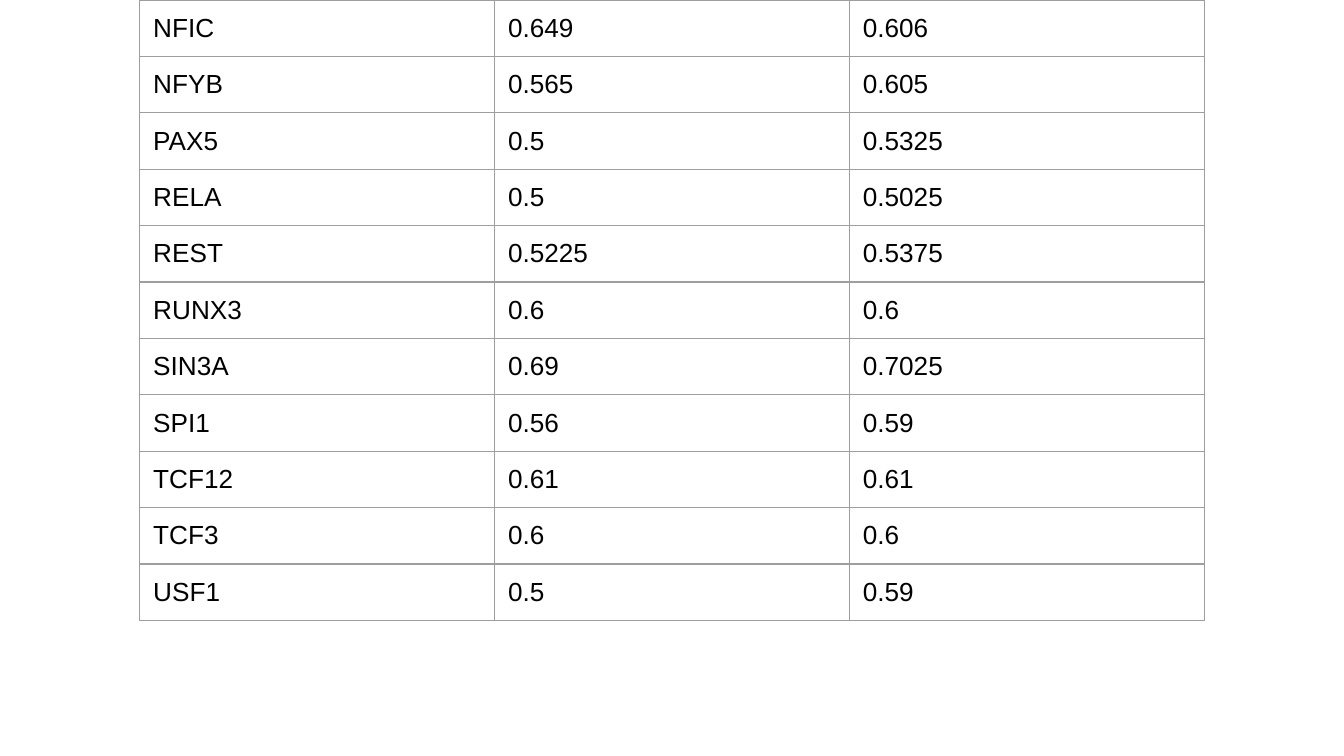
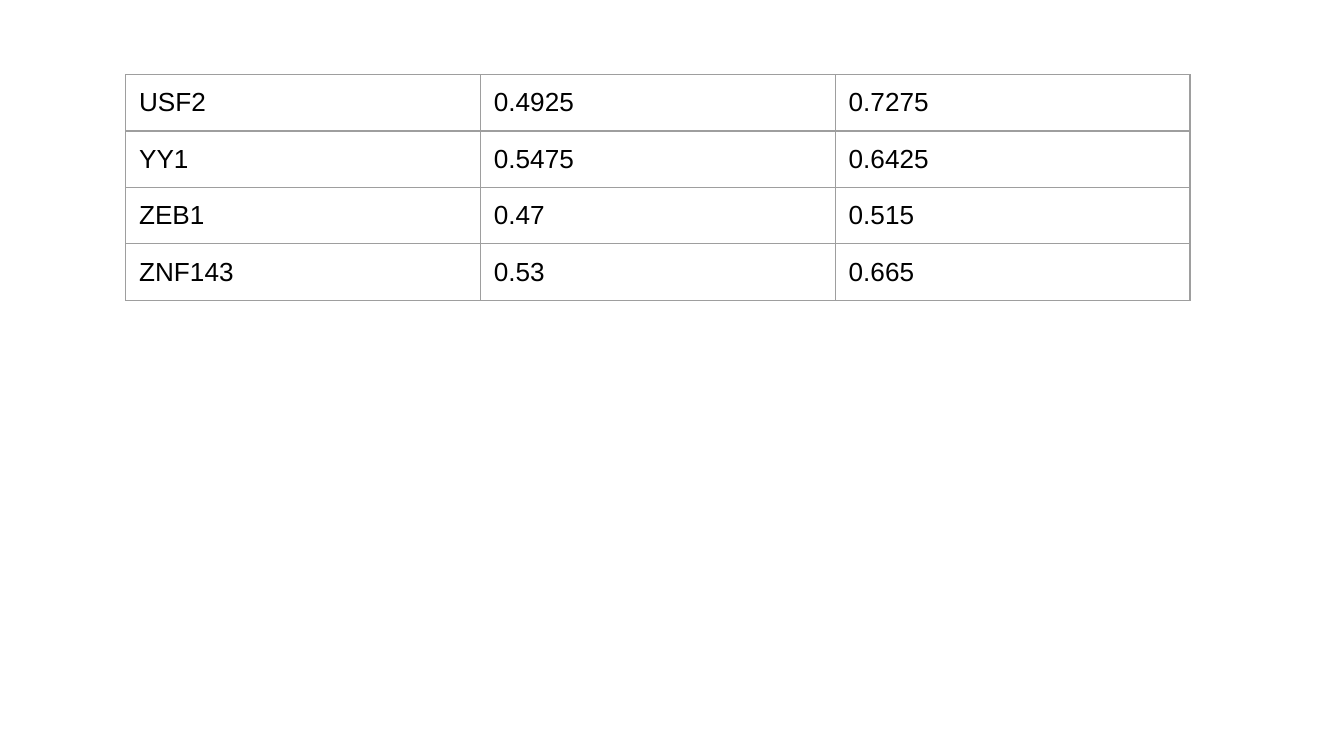
from lxml import etree
from pptx import Presentation
from pptx import util as u
from pptx.dml.color import RGBColor
from pptx.oxml.ns import qn

# Shared look: 200 px to the inch
PX = 914400 // 200
SLIDE_W, SLIDE_H = 2000, 1125
COLUMN_W, ROW_H, INSET = 528, 84, 20
FONT, FONT_SIZE = "Arial", 14
INK, GRID, PAPER = "000000", "9E9E9E", "FFFFFF"
GRID_WIDTH = 0.75

FACTORS_NFIC_TO_USF1 = [
    ("NFIC", "0.649", "0.606"),
    ("NFYB", "0.565", "0.605"),
    ("PAX5", "0.5", "0.5325"),
    ("RELA", "0.5", "0.5025"),
    ("REST", "0.5225", "0.5375"),
    ("RUNX3", "0.6", "0.6"),
    ("SIN3A", "0.69", "0.7025"),
    ("SPI1", "0.56", "0.59"),
    ("TCF12", "0.61", "0.61"),
    ("TCF3", "0.6", "0.6"),
    ("USF1", "0.5", "0.59"),
]
FACTORS_USF2_TO_ZNF143 = [
    ("USF2", "0.4925", "0.7275"),
    ("YY1", "0.5475", "0.6425"),
    ("ZEB1", "0.47", "0.515"),
    ("ZNF143", "0.53", "0.665"),
]


def px(length):
    return u.Emu(length * PX)


def colour(hex_code):
    return RGBColor.from_string(hex_code)


def add_grid_lines(cell):
    """Draw the four borders of a cell."""
    properties = cell._tc.get_or_add_tcPr()
    for side in ("lnL", "lnR", "lnT", "lnB"):
        line = etree.SubElement(properties, qn(f"a:{side}"), w=str(u.Pt(GRID_WIDTH)))
        fill = etree.SubElement(line, qn("a:solidFill"))
        etree.SubElement(fill, qn("a:srgbClr"), val=GRID)


def fill_cell(cell, entry):
    cell.margin_left = cell.margin_right = px(INSET)
    cell.margin_top = cell.margin_bottom = px(INSET)
    add_grid_lines(cell)
    cell.fill.background()
    run = cell.text_frame.paragraphs[0].add_run()
    run.text = entry
    run.font.name = FONT
    run.font.size = u.Pt(FONT_SIZE)
    run.font.color.rgb = colour(INK)


def add_score_table(slide, left, top, factors):
    """Place one row per factor: its name and two scores."""
    columns = len(factors[0])
    scores = slide.shapes.add_table(
        len(factors), columns, px(left), px(top),
        px(COLUMN_W * columns), px(ROW_H * len(factors))).table
    scores.first_row = scores.horz_banding = False
    for column in scores.columns:
        column.width = px(COLUMN_W)
    for row, factor in zip(scores.rows, factors):
        row.height = px(ROW_H)
        for cell, entry in zip(row.cells, factor):
            fill_cell(cell, entry)


def add_score_slide(deck, left, top, factors):
    slide = deck.slides.add_slide(deck.slide_layouts[6])
    add_score_table(slide, left, top, factors)


def main():
    deck = Presentation()
    deck.slide_width, deck.slide_height = px(SLIDE_W), px(SLIDE_H)

    # Background shared by all slides
    paper = deck.slide_master.background.fill
    paper.solid()
    paper.fore_color.rgb = colour(PAPER)

    add_score_slide(deck, 208, 0, FACTORS_NFIC_TO_USF1)
    add_score_slide(deck, 187, 111, FACTORS_USF2_TO_ZNF143)
    deck.save("out.pptx")


if __name__ == "__main__":
    main()
